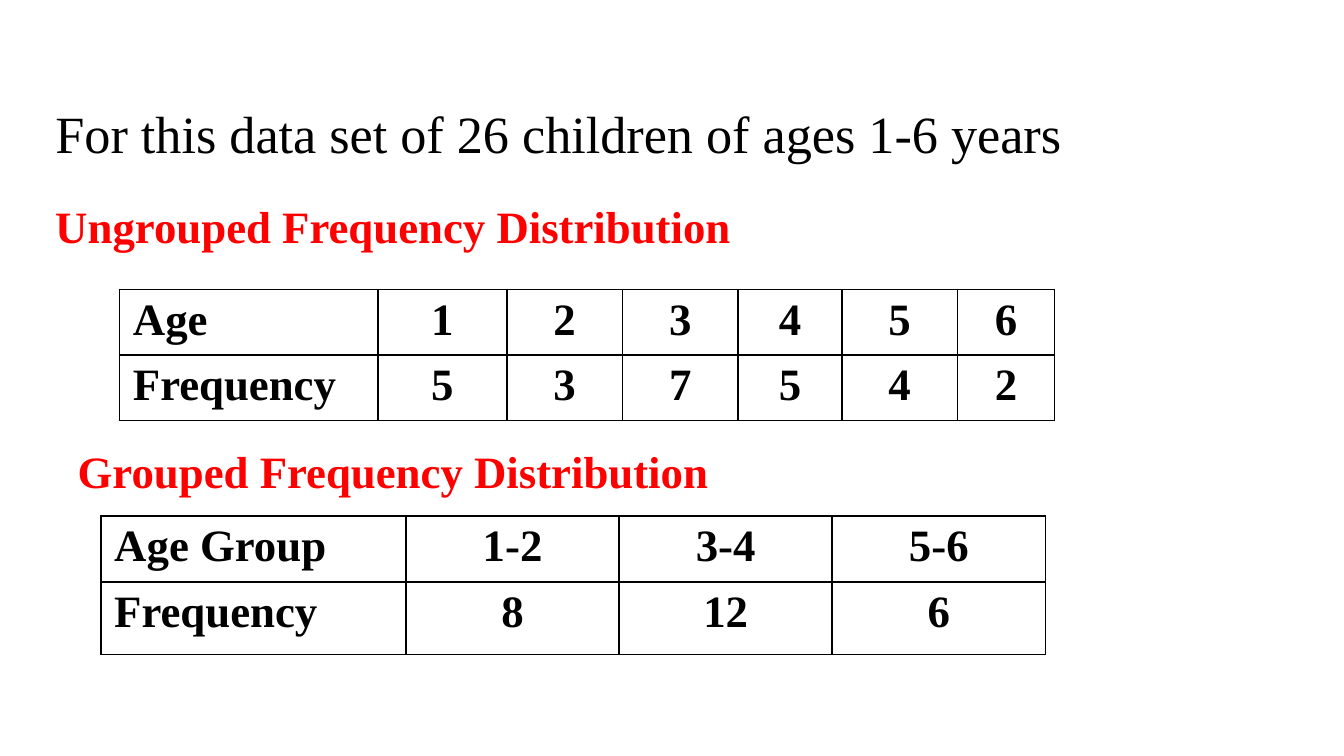
from lxml import etree
from pptx import Presentation
from pptx.dml.color import RGBColor
from pptx.enum.text import MSO_ANCHOR, MSO_AUTO_SIZE, PP_ALIGN
from pptx.oxml.ns import qn
from pptx.util import Pt

COLORS = {"text": "000000", "heading": "FF0000", "border": "000000"}
FONT = "Times New Roman"


def set_font(p, size, color, bold=False):
    p.font.name = FONT
    p.font.size = Pt(size)
    p.font.bold = bold
    p.font.color.rgb = RGBColor.from_string(COLORS[color])


def fill_text(sp, text, size, color, bold=False):
    """Put one left-aligned line at the top of a title or text box."""
    tf = sp.text_frame
    tf.word_wrap = True
    tf.auto_size = MSO_AUTO_SIZE.SHAPE_TO_FIT_TEXT
    tf.vertical_anchor = MSO_ANCHOR.TOP
    p = tf.paragraphs[0]
    p.text = text
    p.alignment = PP_ALIGN.LEFT
    set_font(p, size, color, bold)


def add_title(s, text):
    title = s.shapes.title
    title.left, title.top = Pt(22.5), Pt(50.5)
    title.width, title.height = Pt(624), Pt(41)
    fill_text(title, text, 28, "text")


def add_heading(s, text, left, top, width):
    box = s.shapes.add_textbox(Pt(left), Pt(top), Pt(width), Pt(36))
    fill_text(box, text, 24, "heading", bold=True)


def add_borders(cell):
    tc_pr = cell._tc.get_or_add_tcPr()
    for i, side in enumerate(("lnL", "lnR", "lnT", "lnB")):
        ln = etree.Element(qn(f"a:{side}"), w=str(Pt(1)))
        fill = etree.SubElement(ln, qn("a:solidFill"))
        etree.SubElement(fill, qn("a:srgbClr"), val=COLORS["border"])
        tc_pr.insert(i, ln)  # borders come before the fill


def add_frequency_table(s, rows, left, top, widths, heights):
    table = s.shapes.add_table(len(rows), len(widths), Pt(left), Pt(top),
                               Pt(sum(widths)), Pt(sum(heights))).table
    table.first_row = table.horz_banding = False
    for column, width in zip(table.columns, widths):
        column.width = Pt(width)
    for r, (values, height) in enumerate(zip(rows, heights)):
        table.rows[r].height = Pt(height)
        for c, value in enumerate(values):
            cell = table.cell(r, c)
            cell.margin_top = cell.margin_bottom = Pt(3.2)
            cell.fill.background()
            add_borders(cell)
            p = cell.text_frame.paragraphs[0]
            p.text = str(value)
            p.alignment = PP_ALIGN.CENTER if c else PP_ALIGN.LEFT
            set_font(p, 24, "text", bold=True)


def main():
    prs = Presentation()
    prs.slide_width, prs.slide_height = Pt(720), Pt(405)
    s = prs.slides.add_slide(prs.slide_layouts[5])

    add_title(s, "For this data set of 26 children of ages 1-6 years")

    add_heading(s, "Ungrouped Frequency Distribution", 22.5, 103, 567)
    add_frequency_table(
        s, [["Age", 1, 2, 3, 4, 5, 6], ["Frequency", 5, 3, 7, 5, 4, 2]],
        64, 155, [138.5, 69, 62, 62, 55.5, 62, 52], [33, 31])

    add_heading(s, "Grouped Frequency Distribution", 34.5, 234, 538)
    add_frequency_table(
        s, [["Age Group", "1-2", "3-4", "5-6"], ["Frequency", 8, 12, 6]],
        54, 276.5, [163.5] + [114.2] * 3, [31, 39])

    prs.save("out.pptx")


if __name__ == "__main__":
    main()
